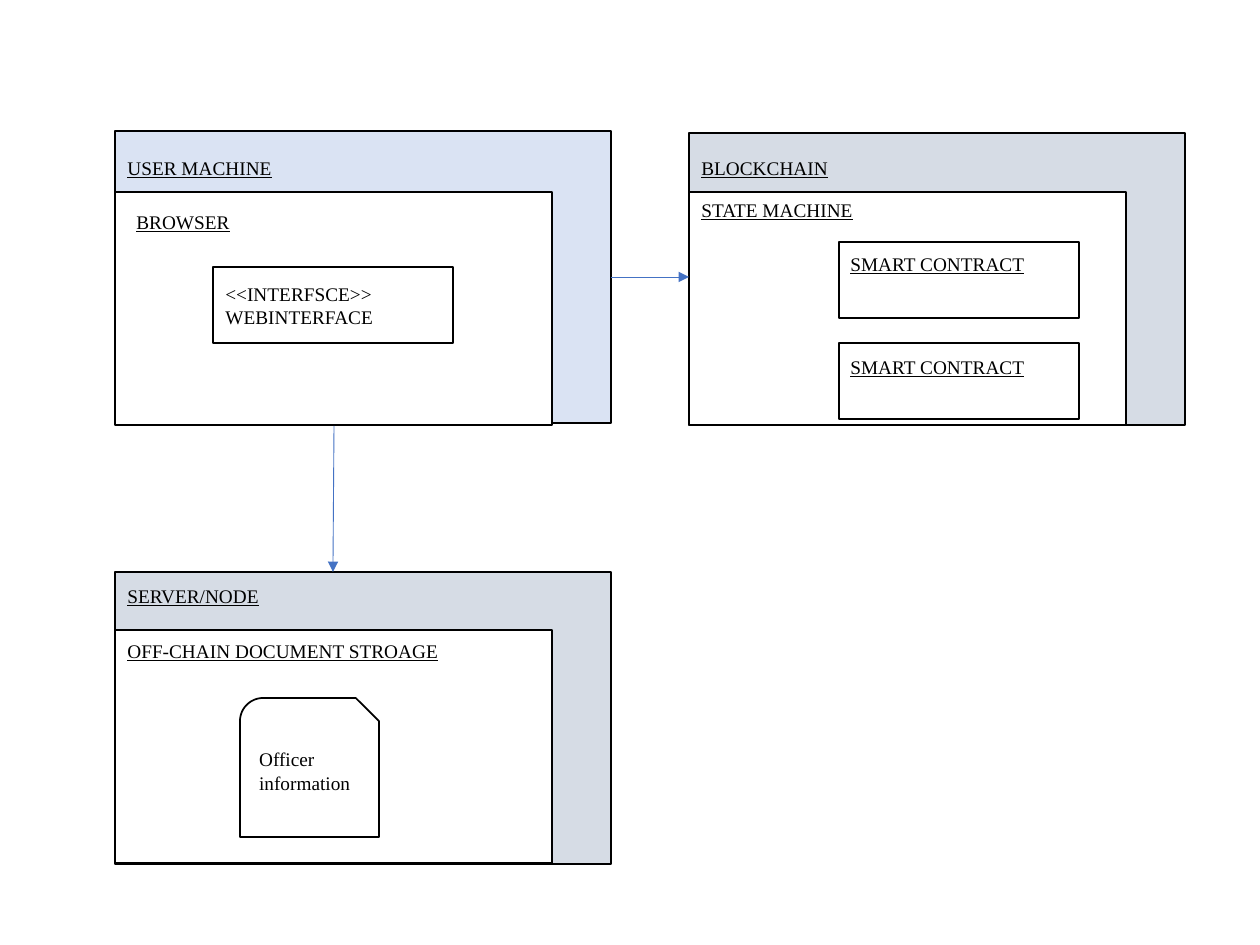
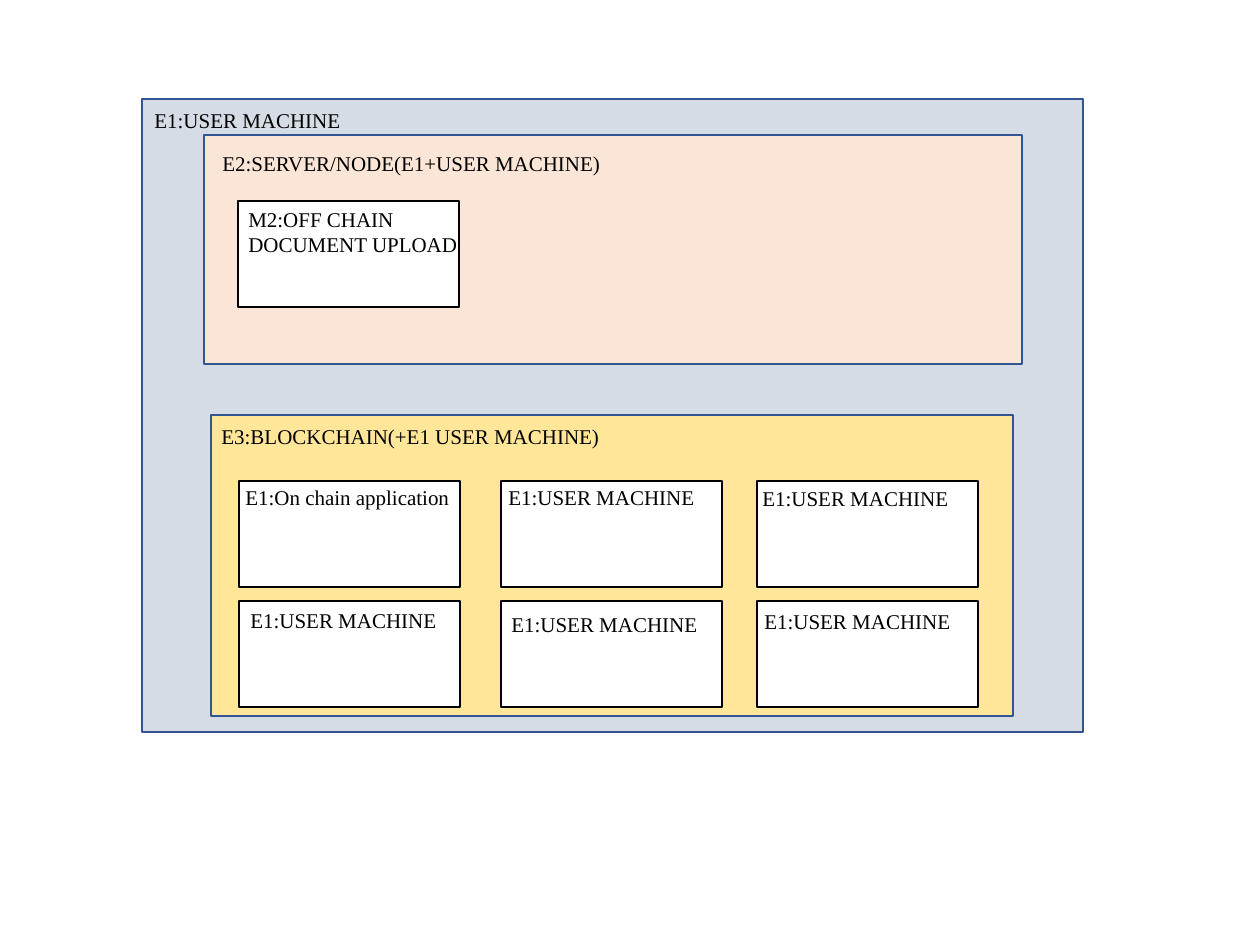
from pptx import Presentation
from pptx.dml.color import RGBColor
from pptx.enum import shapes, text
from pptx.oxml.ns import qn
from pptx import util as u
from lxml import etree

SCALE = 914400 / 126
BLACK, WHITE, NAVY, BLUE = "000000", "FFFFFF", "325491", "4472C4"
PALE, GREY, PEACH, GOLD = "DAE3F3", "D6DCE5", "FBE5D6", "FFE699"
RECT = shapes.MSO_SHAPE.RECTANGLE
SNIP = shapes.MSO_SHAPE.SNIP_ROUND_RECTANGLE


def px(*vals):
    return [u.Emu(round(v * SCALE)) for v in vals]


def tint(code):
    return RGBColor.from_string(code)


class Deck:
    """Holds the shared style and draws on the current slide."""

    font = "Times New Roman"

    def __init__(self):
        self.prs = Presentation()
        self.prs.slide_width, self.prs.slide_height = px(1260, 945)

    def page(self, size, line=False):
        self.size, self.line = size, line
        self.slide = self.prs.slides.add_slide(self.prs.slide_layouts[6])

    def style(self, frame, words, line):
        frame.word_wrap = True
        frame.text = words
        for para in frame.paragraphs:
            para.alignment = text.PP_ALIGN.LEFT
            for run in para.runs:
                run.font.name = self.font
                run.font.size = u.Pt(self.size)
                run.font.underline = line
                run.font.color.rgb = tint(BLACK)

    def box(self, x, y, w, h, fill=WHITE, edge=BLACK, words="", kind=RECT):
        shape = self.slide.shapes.add_shape(kind, *px(x, y, w, h))
        shape.shadow.inherit = False
        shape.fill.solid()
        shape.fill.fore_color.rgb = tint(fill)
        shape.line.color.rgb = tint(edge)
        shape.line.width = u.Pt(1)
        if words:
            shape.text_frame.vertical_anchor = text.MSO_ANCHOR.MIDDLE
            self.style(shape.text_frame, words, False)

    def label(self, x, y, w, h, words):
        frame = self.slide.shapes.add_textbox(*px(x, y, w, h)).text_frame
        self.style(frame, words, self.line)
        frame.auto_size = text.MSO_AUTO_SIZE.SHAPE_TO_FIT_TEXT

    def arrow(self, *ends):
        link = self.slide.shapes.add_connector(
            shapes.MSO_CONNECTOR.STRAIGHT, *px(*ends))
        link.line.color.rgb = tint(BLUE)
        link.line.width = u.Pt(0.5)
        props = link._element.spPr
        etree.SubElement(props.find(qn("a:ln")), qn("a:tailEnd"),
                         type="triangle")
        etree.SubElement(props, qn("a:effectLst"))


def nodes(deck):
    deck.page(11, True)
    for x, y, top, fill in [(115, 131, 192, PALE), (115, 572, 630, GREY),
                            (689, 133, 192, GREY)]:
        deck.box(x, y, 496, 292, fill)
        deck.box(x, top, 437, 233)
    deck.box(213, 267, 240, 76, words="<<INTERFSCE>>\nWEBINTERFACE")
    for y in (242, 343):
        deck.box(839, y, 240, 76)
    deck.box(240, 698, 139, 139, words="Officer information", kind=SNIP)
    for x, y, w, words in [
            (115, 150, 320, "USER MACHINE"),
            (115, 578, 255, "SERVER/NODE"),
            (124, 204, 255, "BROWSER"),
            (115, 633, 373, "OFF-CHAIN DOCUMENT STROAGE"),
            (689, 150, 255, "BLOCKCHAIN"),
            (689, 192, 255, "STATE MACHINE"),
            (838, 246, 255, "SMART CONTRACT"),
            (838, 349, 255, "SMART CONTRACT")]:
        deck.label(x, y, w, 36, words)
    deck.arrow(334, 426, 333, 572)
    deck.arrow(611, 277, 689, 277)


def layers(deck):
    deck.page(12)
    deck.box(142, 99, 941, 633, GREY, NAVY)
    deck.box(204, 135, 818, 229, PEACH, NAVY)
    deck.box(211, 415, 802, 301, GOLD, NAVY)
    deck.box(238, 201, 221, 106)
    for y in (481, 601):
        for x in (239, 501, 757):
            deck.box(x, y, 221, 106)
    user = "E1:USER MACHINE"
    for x, y, w, h, words in [
            (142, 101, 263, 38, user),
            (210, 144, 431, 38, "E2:SERVER/NODE(E1+USER MACHINE)"),
            (236, 200, 263, 63, "M2:OFF CHAIN DOCUMENT UPLOAD"),
            (209, 417, 432, 38, "E3:BLOCKCHAIN(+E1 USER MACHINE)"),
            (233, 478, 263, 38, "E1:On chain application"),
            (496, 478, 263, 38, user),
            (750, 479, 263, 38, user),
            (238, 601, 263, 38, user),
            (499, 605, 263, 38, user),
            (752, 602, 263, 38, user)]:
        deck.label(x, y, w, h, words)


deck = Deck()
nodes(deck)
layers(deck)
deck.prs.save("out.pptx")
